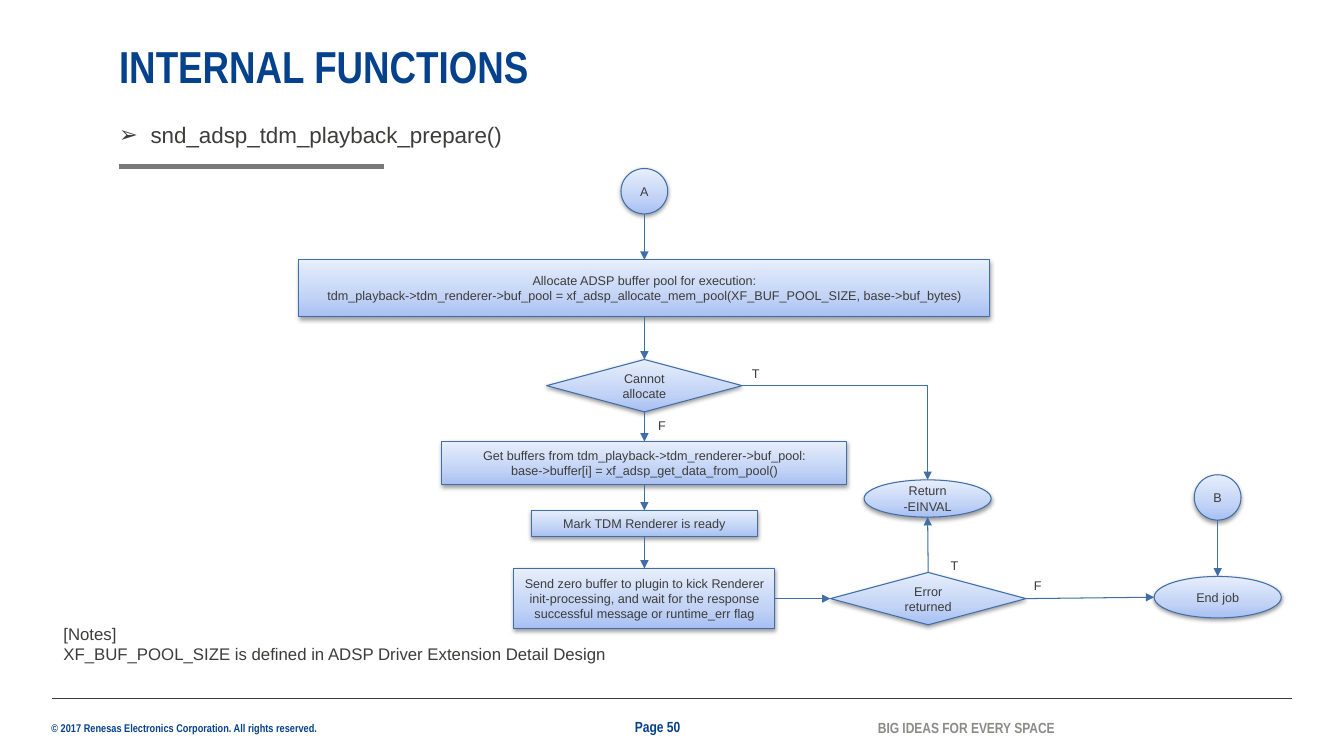
from copy import deepcopy

from lxml import etree
from pptx import Presentation
from pptx.dml.color import RGBColor
from pptx.enum import shapes, text
from pptx.oxml import ns
from pptx.util import Pt

NAVY, INK, BLUE, GREY, SLOGAN_GREY = "06418C", "3C3C3B", "406EA8", "797979", "8B8B89"
GRADIENT = [(0, "A7C0F3"), (0.35, "C2D3F5"), (1, "E7EEFC")]
LEFT, MAIN_X, ERROR_X, END_X = 85, 460.3, 663, 869.8
TOP, WEST, BOTTOM, EAST = range(4)
SHAPE = shapes.MSO_SHAPE
GROW = text.MSO_AUTO_SIZE.SHAPE_TO_FIT_TEXT
LEFT_ALIGN, CENTER = text.PP_ALIGN.LEFT, text.PP_ALIGN.CENTER
MIDDLE = text.MSO_ANCHOR.MIDDLE

TITLE = "INTERNAL FUNCTIONS"
FUNCTION = "snd_adsp_tdm_playback_prepare()"

NODES = {
    "a": (SHAPE.OVAL, MAIN_X, 120.4, 33.4, 32.4, "A"),
    "allocate": (SHAPE.RECTANGLE, MAIN_X, 185.6, 493.4, 40.6,
                 "Allocate ADSP buffer pool for execution:\n"
                 "tdm_playback->tdm_renderer->buf_pool = "
                 "xf_adsp_allocate_mem_pool(XF_BUF_POOL_SIZE, base->buf_bytes)"),
    "cannot": (SHAPE.FLOWCHART_DECISION, MAIN_X, 256.8, 139.6, 37.4, "Cannot allocate"),
    "get": (SHAPE.RECTANGLE, MAIN_X, 315.4, 289.4, 31,
            "Get buffers from tdm_playback->tdm_renderer->buf_pool:\n"
            "base->buffer[i] = xf_adsp_get_data_from_pool()"),
    "mark": (SHAPE.RECTANGLE, MAIN_X, 364.6, 161.4, 18.6, "Mark TDM Renderer is ready"),
    "send": (SHAPE.RECTANGLE, MAIN_X, 406.1, 186.5, 43,
             "Send zero buffer to plugin to kick Renderer init-processing, and wait "
             "for the response successful message or runtime_err flag"),
    "return": (SHAPE.OVAL, ERROR_X - 0.4, 342.8, 90.8, 26.6, "Return\n-EINVAL"),
    "error": (SHAPE.FLOWCHART_DECISION, ERROR_X, 408.9, 139.6, 37.4, "Error returned"),
    "b": (SHAPE.OVAL, END_X, 339.1, 33.4, 32.4, "B"),
    "end": (SHAPE.OVAL, END_X, 411.8, 90.8, 29.6, "End job"),
}
LINKS = [
    ("a", BOTTOM, "allocate", TOP),
    ("allocate", BOTTOM, "cannot", TOP),
    ("cannot", BOTTOM, "get", TOP),
    ("get", BOTTOM, "mark", TOP),
    ("mark", BOTTOM, "send", TOP),
    ("send", EAST, "error", WEST),
    ("error", TOP, "return", BOTTOM),
    ("error", EAST, "end", WEST),
    ("b", BOTTOM, "end", TOP),
    ("cannot", EAST, "return", TOP),
]
BRANCHES = [
    (530, 258, 20.2, 18, "T"),
    (463, 294.8, 20.2, 18, "F"),
    (672, 394.8, 23, 18, "T"),
    (731.4, 409, 20.2, 18, "F"),
]
NOTES = (38.2, 442, 405.4, 36,
         "[Notes]\nXF_BUF_POOL_SIZE is defined in ADSP Driver Extension Detail Design")
COPYRIGHT = (36.7, 515.6, 193, 9.4,
             "© 2017 Renesas Electronics Corporation. All rights reserved.")
PAGE = (453.6, 512.6, 52.6, 13, "Page 50")
SLOGAN = (627.1, 513.4, 129.6, 13, "BIG IDEAS FOR EVERY SPACE")
RULES = [(LEFT, 118.9, 274.4, GREY, 3), (36.9, 499, 923, INK, 0.5)]

LABEL_FONT = dict(size=Pt(9), name="Arial")
FOOTER_FONT = dict(size=Pt(10.5), name="Arial Narrow", bold=True)
FLUSH = dict(margin_left=0, margin_top=0, margin_right=0, margin_bottom=0,
             word_wrap=True, auto_size=GROW)


def rgb(value):
    return RGBColor.from_string(value)


def apply(target, values):
    for key, value in values.items():
        setattr(target, key, value)


def add_xml(parent, tag, **attributes):
    return etree.SubElement(parent, ns.qn(tag), attributes)


def write(shape, words, font, color, frame, paragraph=None):
    body = shape.text_frame
    body.text = words
    apply(body, frame)
    for line in body.paragraphs:
        apply(line, paragraph or {})
        for run in line.runs:
            apply(run.font, font)
            run.font.color.rgb = rgb(color)


def place(shape, left, top, width, height):
    apply(shape, dict(left=Pt(left), top=Pt(top), width=Pt(width), height=Pt(height)))


def add_words(box, font, color, frame):
    *area, words = box
    write(slide.shapes.add_textbox(*map(Pt, area)), words, font, color, frame)


def add_line(kind, start, end, color, weight):
    line = slide.shapes.add_connector(kind, *map(Pt, start + end))
    line.line.color.rgb = rgb(color)
    line.line.width = Pt(weight)
    add_xml(line._element.spPr, "a:effectLst")
    return line


def add_node(kind, center, top, width, height, words):
    node = slide.shapes.add_shape(kind, *map(Pt, (center - width / 2, top, width, height)))
    node.fill.gradient()
    node.fill.gradient_angle = 90
    stops = node._element.spPr.find(".//" + ns.qn("a:gsLst"))
    stops.append(deepcopy(stops[0]))
    for stop, (position, color) in zip(node.fill.gradient_stops, GRADIENT):
        stop.position = position
        stop.color.rgb = rgb(color)
    node.line.color.rgb = rgb(BLUE)
    node.line.width = Pt(0.75)
    node.shadow.inherit = False
    effects = node._element.spPr.find(ns.qn("a:effectLst"))
    shadow = add_xml(effects, "a:outerShdw", blurRad=str(Pt(3.1)), dist=str(Pt(1.6)),
                     dir="5400000", rotWithShape="0")
    add_xml(add_xml(shadow, "a:srgbClr", val="000000"), "a:alpha", val="38000")
    write(node, words, LABEL_FONT, INK, dict(vertical_anchor=MIDDLE, word_wrap=True),
          dict(alignment=CENTER))
    return node


def side_point(name, side):
    _, center, top, width, height, _ = NODES[name]
    return [(center, top), (center - width / 2, top + height / 2),
            (center, top + height), (center + width / 2, top + height / 2)][side]


def add_link(source, out_side, target, in_side):
    start, end = side_point(source, out_side), side_point(target, in_side)
    bent = out_side == EAST and in_side == TOP
    kind = shapes.MSO_CONNECTOR.ELBOW if bent else shapes.MSO_CONNECTOR.STRAIGHT
    link = add_line(kind, start, end, BLUE, 0.75)
    add_xml(link.line._get_or_add_ln(), "a:tailEnd", type="triangle")
    if bent:
        link._element.spPr.find(ns.qn("a:prstGeom")).set("prst", "bentConnector2")
        return
    for name, side, connect in ((source, out_side, link.begin_connect),
                                (target, in_side, link.end_connect)):
        if NODES[name][0] != SHAPE.OVAL or side == TOP:
            connect(nodes[name], side)


deck = Presentation()
apply(deck, dict(slide_width=Pt(960), slide_height=Pt(540)))
slide = deck.slides.add_slide(deck.slide_layouts[1])

title = slide.shapes.title
place(title, LEFT, 31.7, 780.5, 34.6)
write(title, TITLE, dict(size=Pt(32), name="Arial Narrow", bold=True), NAVY,
      FLUSH | dict(vertical_anchor=text.MSO_ANCHOR.BOTTOM),
      dict(alignment=LEFT_ALIGN, line_spacing=0.9))

function = slide.placeholders[1]
place(function, LEFT, 82.8, 468.7, 23)
write(function, FUNCTION, dict(size=Pt(16), name="Arial"), INK, FLUSH,
      dict(line_spacing=1.2, space_before=Pt(0), space_after=Pt(8)))
bullet = function.text_frame.paragraphs[0]._p.get_or_add_pPr()
bullet.set("marL", str(Pt(22.5)))
bullet.set("indent", str(-Pt(22.5)))
add_xml(add_xml(bullet, "a:buClr"), "a:srgbClr", val=INK)
add_xml(bullet, "a:buFont", typeface="Arial")
add_xml(bullet, "a:buChar", char="➢")

for left, y, right, color, weight in RULES:
    add_line(shapes.MSO_CONNECTOR.STRAIGHT, (left, y), (right, y), color, weight)

nodes = {name: add_node(*node) for name, node in NODES.items()}
for link in LINKS:
    add_link(*link)
for branch in BRANCHES:
    add_words(branch, LABEL_FONT, INK, dict(word_wrap=True, auto_size=GROW))

add_words(NOTES, dict(size=Pt(12), name="Arial"), INK, dict(word_wrap=False, auto_size=GROW))
add_words(COPYRIGHT, FOOTER_FONT | dict(size=Pt(8)), NAVY, FLUSH | dict(word_wrap=False))
for footer, color in ((PAGE, NAVY), (SLOGAN, SLOGAN_GREY)):
    add_words(footer, FOOTER_FONT, color, FLUSH | dict(vertical_anchor=MIDDLE))

deck.save("out.pptx")
